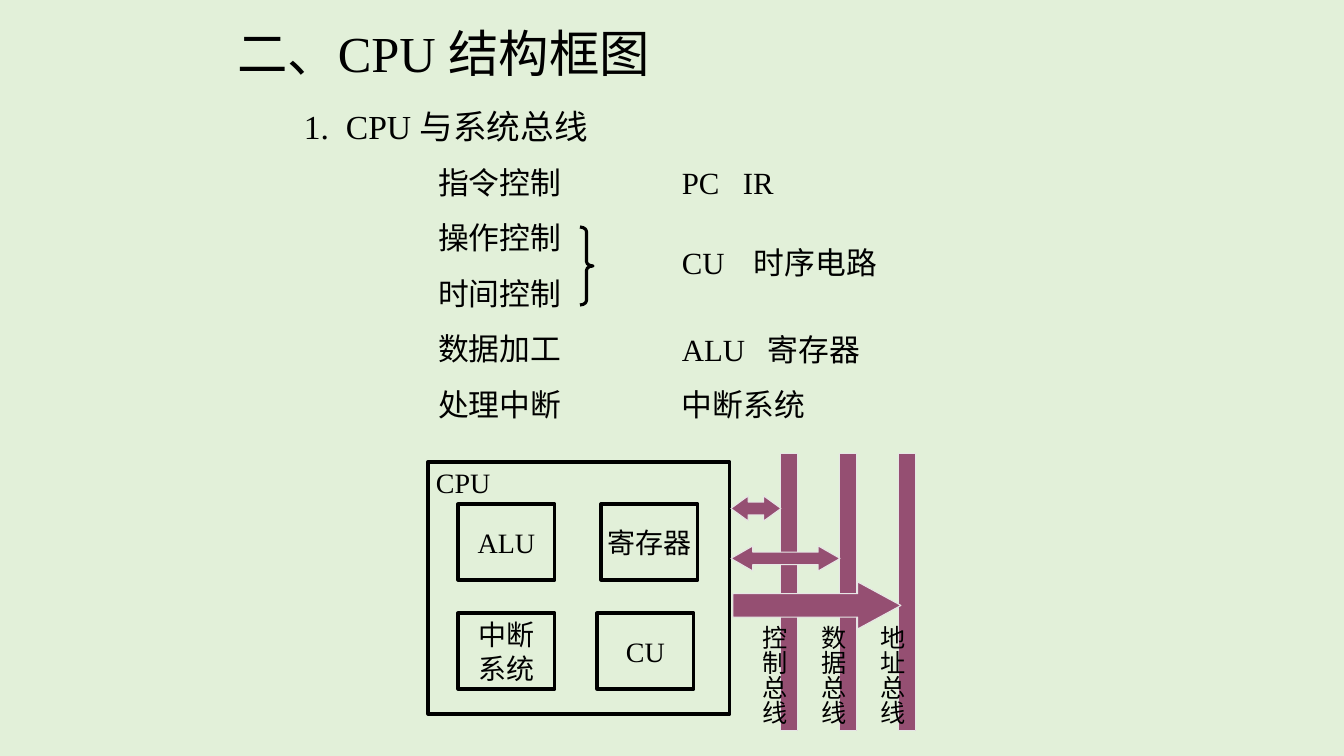
from dataclasses import dataclass

from lxml import etree
from pptx import Presentation
from pptx.dml.color import RGBColor
from pptx.enum.shapes import MSO_SHAPE
from pptx.enum.text import MSO_ANCHOR, MSO_AUTO_SIZE, PP_ALIGN
from pptx.oxml.ns import qn
from pptx.util import Emu, Pt

RECT = MSO_SHAPE.RECTANGLE
BRACE = MSO_SHAPE.RIGHT_BRACE
TWO_WAY = MSO_SHAPE.LEFT_RIGHT_ARROW
ONE_WAY = MSO_SHAPE.RIGHT_ARROW
LEFT, CENTER = PP_ALIGN.LEFT, PP_ALIGN.CENTER
TOP, MIDDLE = MSO_ANCHOR.TOP, MSO_ANCHOR.MIDDLE
FIXED, GROW = MSO_AUTO_SIZE.NONE, MSO_AUTO_SIZE.SHAPE_TO_FIT_TEXT

EMU_PER_PX = 914400 / 100.8


@dataclass(frozen=True)
class Theme:
    font: str = "Times New Roman"
    paper: RGBColor = RGBColor(0xE2, 0xF0, 0xD9)
    ink: RGBColor = RGBColor(0, 0, 0)
    bus: RGBColor = RGBColor(0x95, 0x4F, 0x72)
    bus_edge: RGBColor = RGBColor(0xE7, 0xE6, 0xE6)
    title: Pt = Pt(36)
    heading: Pt = Pt(24)
    body: Pt = Pt(22)
    unit: Pt = Pt(20)
    bus_label: Pt = Pt(18)
    list_pitch: Pt = Pt(39.6)
    outline: Pt = Pt(2.25)
    hairline: Pt = Pt(0.75)


THEME = Theme()


def px(length):
    return Emu(round(length * EMU_PER_PX))


def place(shape, left, top, width, height):
    shape.left, shape.top = px(left), px(top)
    shape.width, shape.height = px(width), px(height)


def format_para(para, size, align=LEFT):
    para.alignment = align
    para.font.name = THEME.font
    para.font.size = size
    para.font.color.rgb = THEME.ink


def write(shape, lines, size, align=LEFT):
    """Fill a shape with one paragraph per line."""
    frame = shape.text_frame
    frame.text = "\n".join(lines)
    for para in frame.paragraphs:
        format_para(para, size, align)
    return frame


def add_title(page, text):
    title = page.shapes.title
    place(title, 227, 17, 630, 71)
    frame = write(title, [text], THEME.title)
    frame.auto_size = FIXED
    frame.vertical_anchor = TOP


def add_function_list(page, lines):
    body = page.placeholders[1]
    place(body, 428, 140, 151, 290)
    frame = body.text_frame
    frame.text = "\n".join(lines)
    frame.auto_size = FIXED
    frame.vertical_anchor = TOP
    for para in frame.paragraphs:
        para.space_before = Pt(0)
        para.line_spacing = THEME.list_pitch
        properties = para._p.get_or_add_pPr()
        properties.set("marL", "0")
        properties.set("indent", "0")
        etree.SubElement(properties, qn("a:buNone"))
        format_para(para, THEME.body)


def add_text(page, text, left, top, width, size, tab=None):
    """Add a one-line text box, with an optional tab stop in px."""
    box = page.shapes.add_textbox(px(left), px(top), px(width), px(47))
    frame = box.text_frame
    frame.word_wrap = True
    frame.auto_size = GROW
    frame.text = text
    para = frame.paragraphs[0]
    if tab:
        tabs = etree.SubElement(para._p.get_or_add_pPr(), qn("a:tabLst"))
        etree.SubElement(tabs, qn("a:tab"), pos=str(px(tab)), algn="l")
    format_para(para, size)


def add_outline(page, kind, left, top, width, height):
    shape = page.shapes.add_shape(kind, px(left), px(top), px(width), px(height))
    shape.shadow.inherit = False
    shape.fill.background()
    shape.line.color.rgb = THEME.ink
    shape.line.width = THEME.outline
    return shape


def add_unit(page, lines, left, top):
    unit = add_outline(page, RECT, left, top, 97, 76)
    frame = write(unit, lines, THEME.unit, CENTER)
    frame.word_wrap = False
    frame.vertical_anchor = MIDDLE


def add_cpu(page):
    cpu = add_outline(page, RECT, 428, 462, 302, 252)
    frame = write(cpu, ["CPU"], THEME.unit)
    frame.vertical_anchor = TOP
    frame.margin_left, frame.margin_top = px(8), px(4)


def add_bus_part(page, kind, left, top, width, height, adjustments=()):
    part = page.shapes.add_shape(kind, px(left), px(top), px(width), px(height))
    part.shadow.inherit = False
    part.fill.solid()
    part.fill.fore_color.rgb = THEME.bus
    part.line.color.rgb = THEME.bus_edge
    part.line.width = THEME.hairline
    for index, value in enumerate(adjustments):
        part.adjustments[index] = value


def add_bus_label(page, text, left):
    box = page.shapes.add_textbox(px(left), px(615), px(51), px(111))
    frame = write(box, [text], THEME.bus_label)
    frame.word_wrap = False
    frame.auto_size = GROW
    frame._txBody.bodyPr.set("vert", "eaVert")


def main():
    deck = Presentation()
    deck.slide_width, deck.slide_height = px(1344), px(756)
    page = deck.slides.add_slide(deck.slide_layouts[1])
    page.background.fill.solid()
    page.background.fill.fore_color.rgb = THEME.paper

    # Title, heading and CPU functions
    add_title(page, "二、CPU 结构框图")
    add_text(page, "1.\tCPU 与系统总线", 294, 101, 353, THEME.heading, 42)
    add_function_list(
        page, ["指令控制", "操作控制", "时间控制", "数据加工", "处理中断"])

    # Parts that carry out each function
    for text, top, tab in [
        ("PC\tIR", 159, 61),
        ("CU\t时序电路", 239, 72),
        ("ALU\t寄存器", 326, 86),
        ("中断系统", 381, None),
    ]:
        add_text(page, text, 672, top, 302, THEME.body, tab)
    brace = add_outline(page, BRACE, 580, 227, 13, 78)
    brace.adjustments[0] = 0.34

    # CPU block and its units
    add_cpu(page)
    for lines, left, top in [
        (["ALU"], 458, 504),
        (["寄存器"], 601, 504),
        (["中断", "系统"], 458, 613),
        (["CU"], 597, 613),
    ]:
        add_unit(page, lines, left, top)

    # System buses, left to right
    buses = ["控制总线", "数据总线", "地址总线"]
    for index in range(len(buses)):
        add_bus_part(page, RECT, 781 + 59 * index, 454, 17, 277)

    # Transfers between the CPU and each bus
    add_bus_part(page, TWO_WAY, 731, 496, 50, 25, (0.51, 0.69))
    add_bus_part(page, TWO_WAY, 731, 546, 109, 25, (0.5, 0.87))
    for index, name in enumerate(buses):
        add_bus_label(page, name, 743 + 59 * index)
    add_bus_part(page, ONE_WAY, 733, 582, 168, 47, (0.5, 0.92))

    deck.save("out.pptx")


if __name__ == "__main__":
    main()
